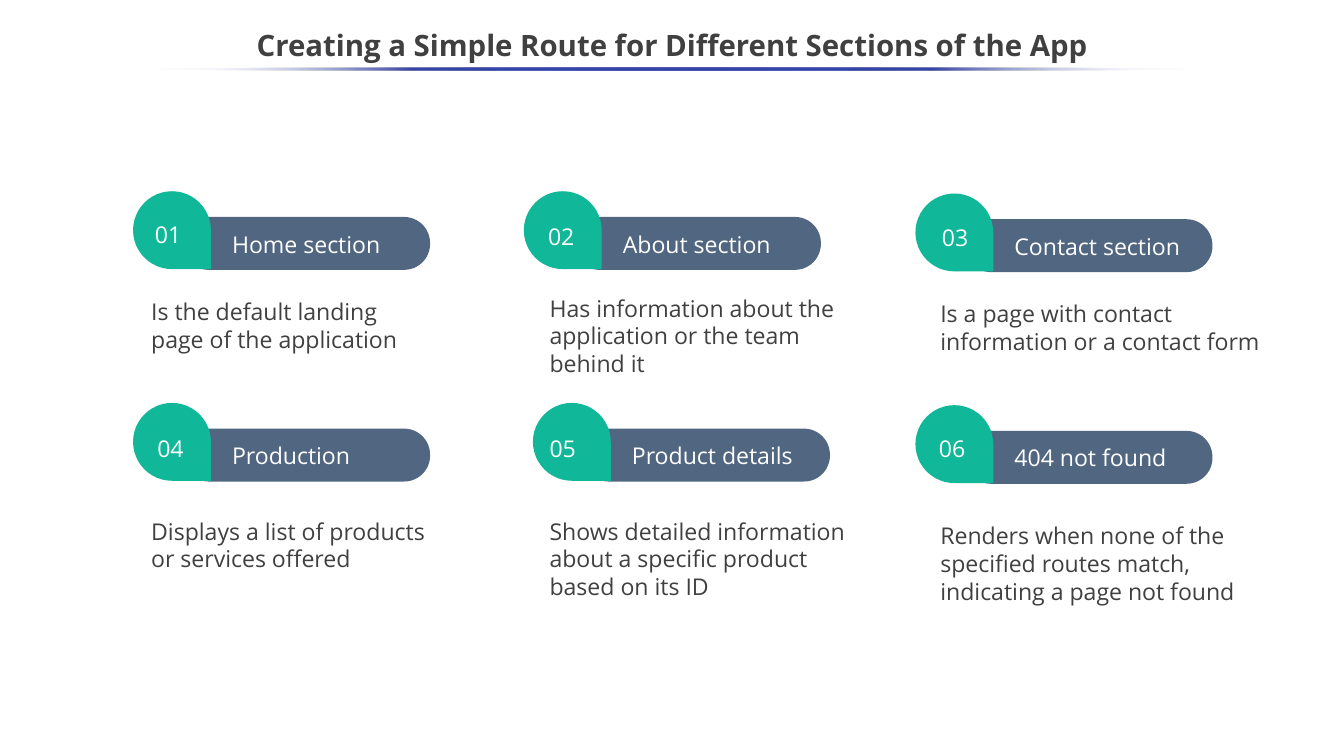
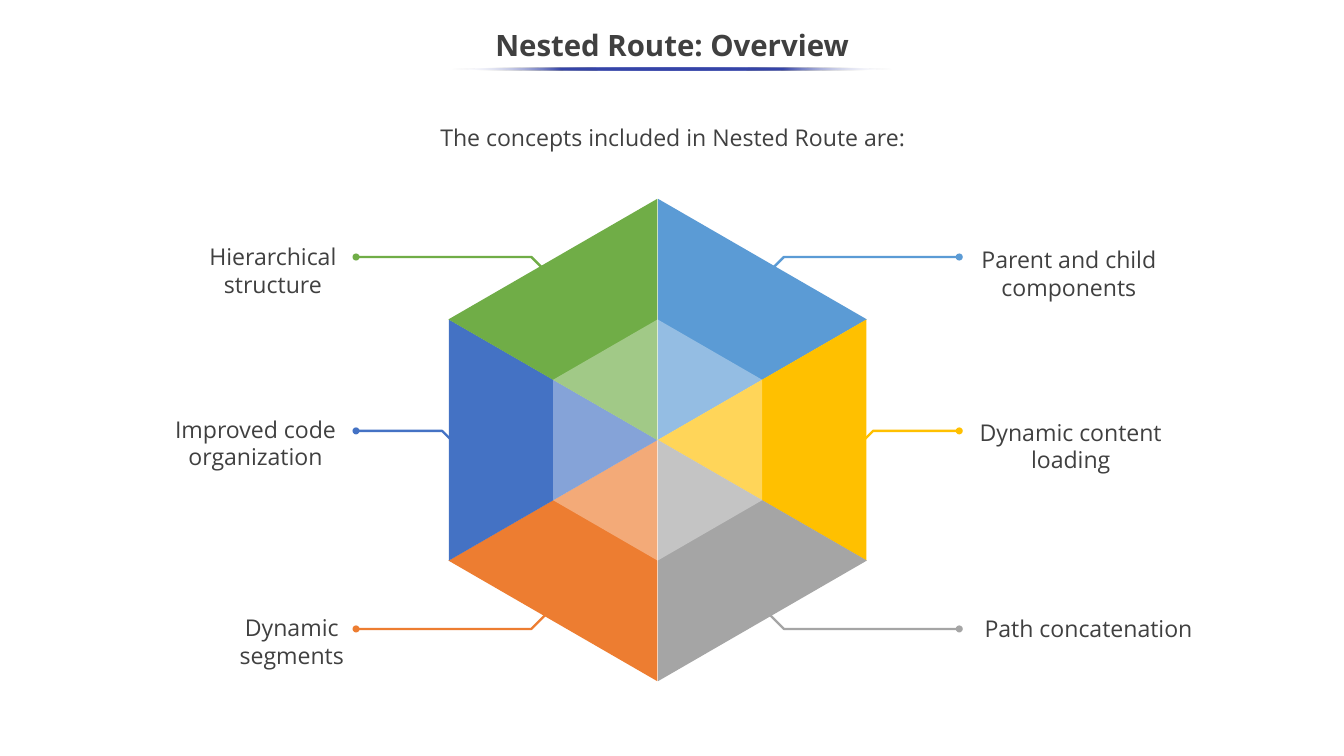
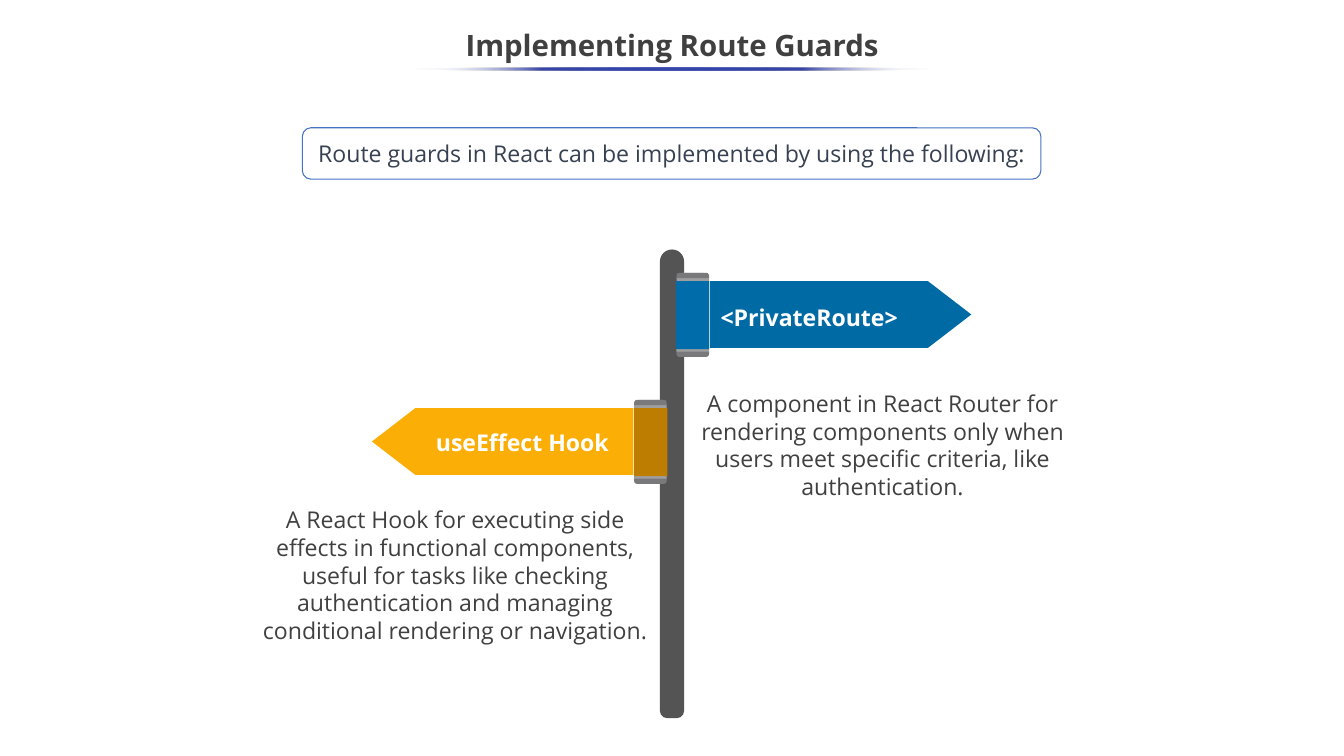
from dataclasses import dataclass
from math import cos, radians, sin

from lxml.etree import SubElement
from pptx import Presentation
from pptx.dml.color import RGBColor
from pptx.enum.shapes import MSO_SHAPE
from pptx.enum.text import MSO_ANCHOR, MSO_AUTO_SIZE, PP_ALIGN
from pptx.oxml.ns import qn
from pptx.shapes.autoshape import Shape
from pptx.slide import Slide
from pptx.util import Inches, Pt

Point = tuple[float, float]
Box = tuple[float, float, float, float]


@dataclass(frozen=True)
class Theme:
    font: str = "Open Sans"
    title_size: int = 28
    body_size: int = 22
    text: str = "404040"
    white: str = "FFFFFF"
    underline: str = "3645A9"
    bar: str = "516681"
    badge: str = "10B899"
    blue: str = "4472C4"
    sky: str = "5B9BD5"
    yellow: str = "FFC000"
    gray: str = "A5A5A5"
    orange: str = "ED7D31"
    green: str = "70AD47"
    callout_text: str = "374151"
    post: str = "555455"
    clamp: str = "9F9E9F"
    clamp_cap: str = "79797B"


THEME = Theme()
SLIDE_W, SLIDE_H = 17.78, 10
TIGHT = (0.04, 0.04)
NORMAL = (0.1, 0.05)


@dataclass(frozen=True)
class RouteCard:
    number: str
    title: str
    body: str
    bar_at: Point
    number_at: Point
    body_at: Point
    body_width: float


@dataclass(frozen=True)
class Wedge:
    color: str
    label: str
    label_box: Box


@dataclass(frozen=True)
class Sign:
    text: str
    text_box: Box
    body: str
    body_box: Box
    board_at: Point
    clamp_at: Point
    strap_x: float
    color: str
    strap_color: str
    rotation: int


CARDS = [
    RouteCard("01", "Home section", "Is the default landing page of the application",
              (2.42, 2.87), (2.01, 2.88), (1.96, 3.9), 3.73),
    RouteCard("02", "About section", "Has information about the application or the team behind it",
              (7.59, 2.87), (7.21, 2.9), (7.23, 3.85), 3.91),
    RouteCard("03", "Contact section", "Is a page with contact information or a contact form",
              (12.77, 2.9), (12.42, 2.91), (12.4, 3.92), 4.46),
    RouteCard("04", "Production", "Displays a list of products or services offered",
              (2.42, 5.67), (2.04, 5.71), (1.96, 6.8), 3.73),
    RouteCard("05", "Product details",
              "Shows detailed information about a specific product based on its ID",
              (7.71, 5.67), (7.23, 5.71), (7.23, 6.8), 4.21),
    RouteCard("06", "404 not found",
              "Renders when none of the specified routes match, indicating a page not found",
              (12.77, 5.7), (12.38, 5.7), (12.4, 6.86), 4.21),
]

# Clockwise from the top
WEDGES = [
    Wedge(THEME.sky, "Parent and child components", (12.18, 3.2, 3.92, 0.84)),
    Wedge(THEME.yellow, "Dynamic content loading", (12.78, 5.48, 2.77, 0.84)),
    Wedge(THEME.gray, "Path concatenation", (12.44, 8.08, 3.92, 0.47)),
    Wedge(THEME.orange, "Dynamic segments", (2.69, 8.07, 2.34, 0.84)),
    Wedge(THEME.blue, "Improved code organization", (1.42, 5.44, 3.92, 0.84)),
    Wedge(THEME.green, "Hierarchical\nstructure", (1.65, 3.16, 3.92, 0.84)),
]

SIGNS = [
    Sign("<PrivateRoute>", (9.42, 3.96, 2.57, 0.47),
         "A component in React Router for rendering components only when users meet "
         "specific criteria, like authentication.", (9.12, 5.1, 5.11, 1.58),
         (9.39, 3.72), (8.95, 3.61), 8.94, "006AA5", "006DAA", 0),
    Sign("useEffect Hook", (5.65, 5.62, 2.52, 0.47),
         "A React Hook for executing side effects in functional components, useful for tasks "
         "like checking authentication and managing conditional rendering or navigation.",
         (3.31, 6.64, 5.42, 1.95),
         (4.92, 5.4), (8.39, 5.29), 8.39, "FAAE06", "BC7D00", 180),
]


def rgb(color: str) -> RGBColor:
    return RGBColor.from_string(color)


def write(sp: Shape, text: str, color: str = THEME.text, size: int = THEME.body_size,
          bold: bool = False, align: PP_ALIGN = PP_ALIGN.LEFT, spacing: float = 1.0,
          anchor: MSO_ANCHOR = MSO_ANCHOR.TOP, inset: Point = NORMAL, wrap: bool = True) -> None:
    tf = sp.text_frame
    tf.text = text
    tf.word_wrap = wrap
    tf.vertical_anchor = anchor
    tf.margin_left = tf.margin_right = Inches(inset[0])
    tf.margin_top = tf.margin_bottom = Inches(inset[1])
    for p in tf.paragraphs:
        p.alignment = align
        p.line_spacing = spacing
        for r in p.runs:
            r.font.name = THEME.font
            r.font.size = Pt(size)
            r.font.bold = bold
            r.font.color.rgb = rgb(color)


def add_text(s: Slide, box: Box, text: str, grow: bool = True, **style) -> None:
    sp = s.shapes.add_textbox(*map(Inches, box))
    write(sp, text, **style)
    if grow:
        sp.text_frame.auto_size = MSO_AUTO_SIZE.SHAPE_TO_FIT_TEXT


def paint(sp: Shape, fill: str) -> Shape:
    sp.shadow.inherit = False
    sp.fill.solid()
    sp.fill.fore_color.rgb = rgb(fill)
    sp.line.fill.background()
    return sp


def add_filled(s: Slide, kind: MSO_SHAPE, box: Box, fill: str,
               adjust: tuple[float, ...] = ()) -> Shape:
    sp = s.shapes.add_shape(kind, *map(Inches, box))
    for i, value in enumerate(adjust):
        sp.adjustments[i] = value
    return paint(sp, fill)


def add_outline(s: Slide, points: list[Point], close: bool = True) -> Shape:
    start, *rest = [(Inches(x), Inches(y)) for x, y in points]
    builder = s.shapes.build_freeform(*start)
    builder.add_line_segments(rest, close=close)
    return builder.convert_to_shape()


def add_underline(s: Slide, width: float) -> None:
    """Draw the title rule, which fades to transparent at both ends."""
    box = ((SLIDE_W - width) / 2, 0.89, width, 0.04)
    sp = add_filled(s, MSO_SHAPE.OVAL, box, THEME.underline)
    sp.fill.gradient()
    sp.fill.gradient_angle = 0
    stops = sp._element.spPr.find(qn("a:gradFill")).find(qn("a:gsLst"))
    for stop in list(stops):
        stops.remove(stop)
    for percent in (0, 25, 50, 75, 100):
        at_end = percent in (0, 100)
        stop = SubElement(stops, qn("a:gs"), pos=str(percent * 1000))
        color = SubElement(stop, qn("a:srgbClr"), val=THEME.white if at_end else THEME.underline)
        if at_end:
            SubElement(color, qn("a:alpha"), val="0")


def add_titled_slide(prs: Presentation, title: str, underline_width: float) -> Slide:
    s = prs.slides.add_slide(prs.slide_layouts[6])
    add_text(s, (0, 0.25, SLIDE_W, 0.75), title, grow=False, size=THEME.title_size, bold=True,
             align=PP_ALIGN.CENTER, spacing=0.9, anchor=MSO_ANCHOR.MIDDLE)
    add_underline(s, underline_width)
    return s


def add_card(s: Slide, card: RouteCard) -> None:
    x, y = card.bar_at
    label = {"color": THEME.white, "anchor": MSO_ANCHOR.MIDDLE, "inset": TIGHT}
    add_text(s, (*card.body_at, card.body_width, 0.82), card.body, inset=TIGHT)
    add_filled(s, MSO_SHAPE.ROUNDED_RECTANGLE, (x, y, 3.27, 0.7), THEME.bar, (0.49,))
    add_text(s, (x + 0.61, y + 0.13, 2.44, 0.45), card.title, **label)
    badge = add_filled(s, MSO_SHAPE.TEAR, (x - 0.66, y - 0.34, 1.03, 1.03), THEME.badge)
    badge.rotation = 90
    add_text(s, (*card.number_at, 1.52, 0.45), card.number, **label)


def hexagon(center: Point, radius: float) -> list[Point]:
    """Corners clockwise from the top."""
    angles = [radians(60 * i - 90) for i in range(6)]
    return [(center[0] + radius * cos(a), center[1] + radius * sin(a)) for a in angles]


def add_leader(s: Slide, points: list[Point], color: str) -> None:
    sp = add_outline(s, points, close=False)
    sp.shadow.inherit = False
    sp.fill.background()
    sp.line.color.rgb = rgb(color)
    sp.line.width = Pt(2.25)
    SubElement(sp._element.spPr.find(qn("a:ln")), qn("a:tailEnd"), type="oval")


def add_wheel(s: Slide) -> None:
    cx, cy, radius, bend = 8.7, 5.82, 3.19, 0.36
    # Leader start (distance from the axis, height) and vertical direction, per row
    rows = [(1.31, 3.76, -1), (2.49, 6.06, -1), (1.31, 7.96, 1)]
    sides = [1 if i < 3 else -1 for i in range(6)]
    for i, wedge in enumerate(WEDGES):
        gap = 0 if i in (1, 4) else 0.005 * sides[i]
        center = (cx + gap, cy)
        corners = hexagon(center, radius)
        paint(add_outline(s, [center, corners[i], corners[(i + 1) % 6]]), wedge.color)
    for i, (wedge, side) in enumerate(zip(WEDGES, sides)):
        dx, y, direction = rows[min(i, 5 - i)]
        end_y = y + direction * bend
        add_leader(s, [(cx + side * dx, y), (cx + side * (dx + bend), end_y),
                       (cx + side * 3.99, end_y)], wedge.color)
    core = paint(add_outline(s, hexagon((cx, cy), radius / 2)), THEME.white)
    color = core._element.spPr.find(qn("a:solidFill")).find(qn("a:srgbClr"))
    SubElement(color, qn("a:alpha"), val="35000")
    for wedge in WEDGES:
        add_text(s, wedge.label_box, wedge.label, align=PP_ALIGN.CENTER)


def add_sign(s: Slide, sign: Sign) -> None:
    x, y = sign.clamp_at
    board_y = sign.board_at[1]
    add_filled(s, MSO_SHAPE.ROUNDED_RECTANGLE, (x, y, 0.43, 1.11), THEME.clamp, (0.17,))
    for cap_y, corners in ((y, (0.5, 0)), (y + 1.04, (0, 0.5))):
        add_filled(s, MSO_SHAPE.ROUND_2_SAME_RECTANGLE, (x, cap_y, 0.43, 0.07),
                   THEME.clamp_cap, corners)
    board = add_filled(s, MSO_SHAPE.PENTAGON, (*sign.board_at, 3.46, 0.88), sign.color, (0.65,))
    board.rotation = sign.rotation
    add_filled(s, MSO_SHAPE.RECTANGLE, (sign.strap_x, board_y, 0.44, 0.9), sign.strap_color)
    add_text(s, sign.text_box, sign.text, color=THEME.white, bold=True,
             align=PP_ALIGN.CENTER, wrap=False)
    add_text(s, sign.body_box, sign.body, align=PP_ALIGN.CENTER)


def build_sections(prs: Presentation) -> None:
    s = add_titled_slide(prs, "Creating a Simple Route for Different Sections of the App", 13.75)
    for card in CARDS:
        add_card(s, card)


def build_nested_route(prs: Presentation) -> None:
    s = add_titled_slide(prs, "Nested Route: Overview", 5.84)
    add_text(s, (1.41, 1.58, 14.98, 0.46), "The concepts included in Nested Route are:",
             grow=False, align=PP_ALIGN.CENTER, spacing=1.15, inset=(0.1, 0))
    add_wheel(s)


def build_route_guards(prs: Presentation) -> None:
    s = add_titled_slide(prs, "Implementing Route Guards", 6.84)
    callout = add_filled(s, MSO_SHAPE.ROUNDED_RECTANGLE, (4, 1.69, 9.77, 0.68), THEME.white)
    callout.line.color.rgb = rgb(THEME.blue)
    callout.line.width = Pt(1)
    write(callout, "Route guards in React can be implemented by using the following:",
          color=THEME.callout_text, align=PP_ALIGN.CENTER, anchor=MSO_ANCHOR.MIDDLE)
    add_filled(s, MSO_SHAPE.ROUND_2_SAME_RECTANGLE, (8.73, 3.3, 0.32, 6.2), THEME.post,
               (0.5, 0.3))
    for sign in SIGNS:
        add_sign(s, sign)


def main() -> None:
    prs = Presentation()
    prs.slide_width = Inches(SLIDE_W)
    prs.slide_height = Inches(SLIDE_H)
    build_sections(prs)
    build_nested_route(prs)
    build_route_guards(prs)
    prs.save("out.pptx")


if __name__ == "__main__":
    main()
